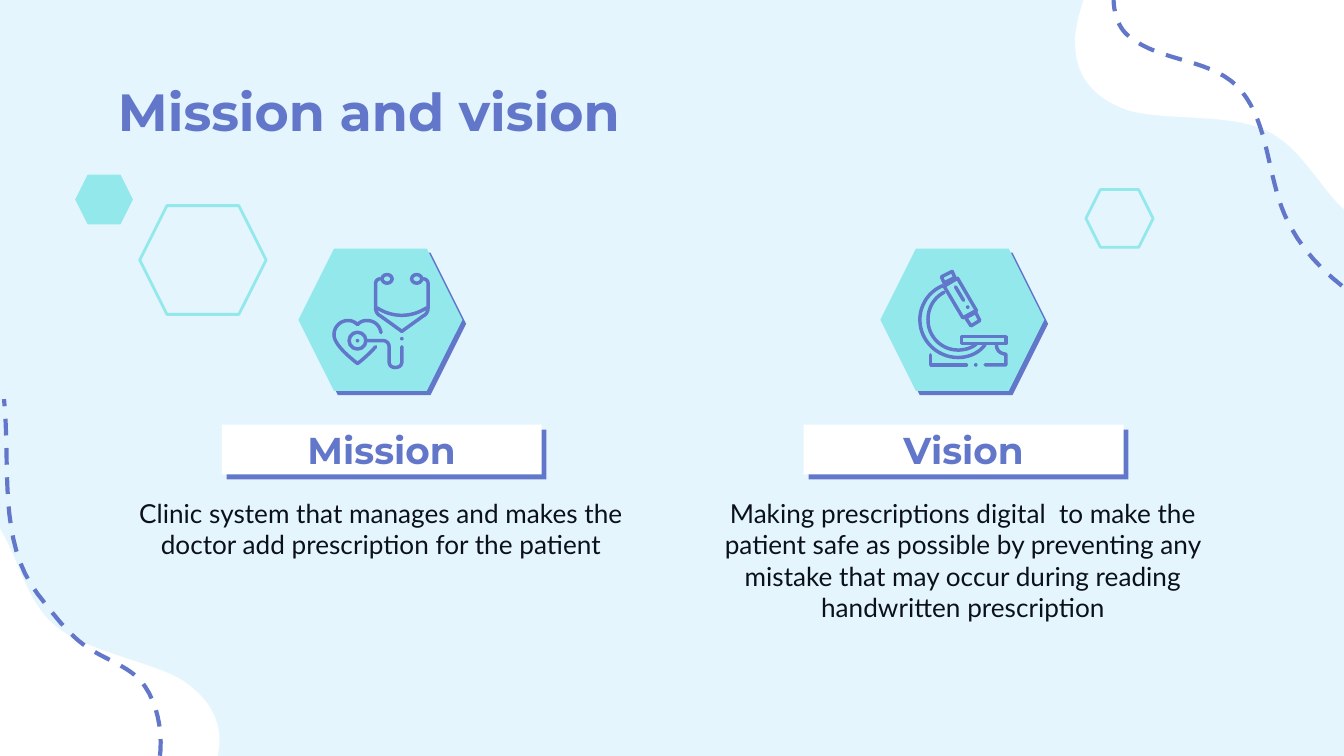
from math import cos, radians, sin
from lxml import etree
from pptx import Presentation
from pptx.dml.color import RGBColor
from pptx.enum.dml import MSO_LINE
from pptx.enum.shapes import MSO_SHAPE
from pptx.enum.text import MSO_ANCHOR, PP_ALIGN
from pptx.oxml.ns import qn
from pptx.util import Pt

HEXAGON, RECTANGLE, OVAL = MSO_SHAPE.HEXAGON, MSO_SHAPE.RECTANGLE, MSO_SHAPE.OVAL
LEFT, CENTER = PP_ALIGN.LEFT, PP_ALIGN.CENTER
TOP, MIDDLE = MSO_ANCHOR.TOP, MSO_ANCHOR.MIDDLE
DASH = MSO_LINE.DASH
SKY, WHITE, INDIGO, AQUA, INK = "E5F5FE", "FFFFFF", "6277CA", "93E8EC", "0B1119"
GRID, CURVE_STEPS = 0.72, 16
COLUMN_STEP, INSET = 311.76, 7.2
DOT_SIZE, STROKE = 2.7, 1.87

TITLE = "Mission and vision"
CARDS = [
    ("Mission", "Clinic system that manages and makes the doctor add prescription for the patient"),
    ("Vision", "Making prescriptions digital  to make the patient safe as possible by preventing "
               "any mistake that may occur during reading handwritten prescription"),
]
TITLE_BOX = (56.16, 35.28, 607.68, 45.36)
BADGE_BOX = (159.84, 133.2, 87.84, 76.32)
PLATE_BOX = (118.8, 227.52, 171.36, 26.64)
LABEL_BOX = (130.32, 227.52, 148.32, 26.64)
BODY_BOX = (56.16, 259.2, 295.92, 71.28)
SOLID_HEXAGON = (40.32, 93.6, 30.96, 26.64)
OUTLINE_HEXAGONS = [((74.88, 110.16, 67.68, 58.32), 0), ((581.76, 101.52, 36, 30.96), 180)]
TITLE_STYLE = {"name": "Montserrat", "size": Pt(28), "bold": True}
LABEL_STYLE = {"name": "Montserrat", "size": Pt(20), "bold": True}
BODY_STYLE = {"name": "Lato", "size": Pt(14), "bold": False}

BLOB = [
    (1005, 160), (983, 143, 970, 110, 942, 97), (913, 83, 857, 91, 834, 80), (810, 70, 800, 53, 800, 32),
    (799, 11, 817, -32, 832, -48), (846, -65, 869, -69, 888, -64), (906, -59, 923, -29, 942, -18),
    (961, -7, 982, -2, 1002, 0), (1023, 2, 1044, -7, 1066, -7), (1088, -7, 1113, -10, 1133, 0),
    (1153, 11, 1182, 28, 1186, 55), (1190, 83, 1178, 141, 1159, 164), (1141, 187, 1101, 194, 1075, 193),
    (1050, 193, 1028, 176, 1005, 160),
]
BLOB_CENTER, CORNER_CENTER, CORNER_TURN = (990.5, 67.5), (-13.5, 481.5), -165
DASHED_PATHS = [
    [(-176, 523), (-149, 509, -111, 500, -85, 515), (-38, 543, -12, 604, 39, 620),
     (59, 627, 83, 615, 100, 602), (124, 583, 125, 536, 108, 511), (99, 497, 81, 492, 67, 483),
     (51, 473, 40, 457, 28, 442), (-2, 403, 8, 346, 3, 297)],
    [(834, -25), (826, -10, 826, 16, 840, 27), (864, 47, 904, 43, 924, 68),
     (944, 93, 943, 130, 956, 160), (977, 208, 1030, 238, 1079, 254)],
]
STETHOSCOPE = {
    "open": [
        [(283, 207.5), (281, 207.5, 279.5, 209, 279.5, 211), (279.5, 229), (279.5, 232, 281, 234, 283, 235),
         (299, 246.5), (315, 235), (317, 234, 318.5, 232, 318.5, 229), (318.5, 211),
         (318.5, 209, 317, 207.5, 315, 207.5)],
        [(280.5, 229), (292, 236.5, 306, 236.5, 317.5, 229)],
        [(283.5, 247.5), (282.5, 242, 278.5, 238.5, 273, 238.5), (270, 238.5, 268, 239.5, 266, 241.5),
         (264, 239.5, 261.5, 238.5, 259, 238.5), (253, 238.5, 248.5, 243.5, 248.5, 249),
         (248.5, 256, 259, 265, 266, 270.5), (270, 267.5, 275, 263, 279.5, 258)],
        [(272.5, 253.5), (285, 253.5), (287.5, 253.5, 289.5, 255.5, 289.5, 258), (289.5, 269),
         (289.5, 272, 291.5, 273.5, 294, 273.5), (297, 273.5, 299, 272, 299, 269), (299, 258)],
    ],
    "closed": [],
    "rings": [(288, 207.5, 7.5, 6.5), (310, 207.5, 7.5, 6.5), (266, 253.5, 12.5, 12.5)],
    "dots": [(266, 253.5), (299, 252)],
}
MICROSCOPE = {
    "open": [
        [(711, 213.5), (717, 223.5)],
        [(701.5, 212.5), (691, 217, 684.5, 227, 684.5, 238), (684.5, 253, 697, 266, 713, 266),
         (721, 266, 728.5, 262.5, 733, 256.5)],
        [(702.5, 217.5), (695, 221.5, 690.5, 229, 690.5, 238), (690.5, 250.5, 700.5, 260.5, 713, 260.5),
         (718, 260.5, 723, 259, 726.5, 256)],
        [(741.5, 257), (741.5, 261, 745, 263.5, 748.5, 263.5), (748.5, 271.5), (733, 271.5)],
        [(692.5, 264), (692.5, 271.5), (719, 271.5)],
    ],
    "closed": [
        [(702.5, 213), (712.5, 207), (726.5, 231), (716.5, 236.5)],
        [(702.5, 210.5), (700.5, 206), (708.5, 202), (710.5, 206.5)],
        [(718.5, 236.5), (722.5, 242.5), (729, 238.5), (726, 232.5)],
        [(715.5, 250.5), (748.5, 250.5), (748.5, 255.5), (715.5, 255.5)],
    ],
    "rings": [],
    "dots": [(720, 228.5), (726, 271.5)],
}

def color(value):
    return RGBColor.from_string(value)

def paint(shape, fill=None, line=None, width=1.5, dash=None):
    shape.shadow.inherit = False
    for part, value in ((shape.fill, fill), (shape.line.fill, line)):
        if value:
            part.solid()
            part.fore_color.rgb = color(value)
        else:
            part.background()
    if line:
        shape.line.width = Pt(width)
        shape.line.dash_style = dash
    return shape

def add_preset(shapes, preset, box, **look):
    return paint(shapes.add_shape(preset, *map(Pt, box)), **look)

def add_hard_shadow(shape, distance, angle):
    effects = shape.element.spPr.find(qn("a:effectLst"))
    shadow = etree.SubElement(effects, qn("a:outerShdw"), blurRad="0", dist=str(Pt(distance)),
                              dir=str(angle * 60000), algn="bl", rotWithShape="0")
    etree.SubElement(shadow, qn("a:srgbClr"), val=INDIGO)

def flatten(segments):
    points = [segments[0]]
    for segment in segments[1:]:
        if len(segment) == 2:
            points.append(segment)
            continue
        controls = [points[-1], segment[:2], segment[2:4], segment[4:]]
        for step in range(1, CURVE_STEPS + 1):
            t = step / CURVE_STEPS
            weights = ((1 - t) ** 3, 3 * t * (1 - t) ** 2, 3 * t * t * (1 - t), t ** 3)
            points.append(tuple(sum(w * c[axis] for w, c in zip(weights, controls)) for axis in (0, 1)))
    return points

def turn(points, center, new_center, degrees):
    c, s = cos(radians(degrees)), sin(radians(degrees))
    offsets = [(x - center[0], y - center[1]) for x, y in points]
    return [(new_center[0] + x * c - y * s, new_center[1] + x * s + y * c) for x, y in offsets]

def add_path(shapes, points, close=False, **look):
    corners = [(Pt(x * GRID), Pt(y * GRID)) for x, y in points]
    builder = shapes.build_freeform(*corners[0])
    builder.add_line_segments(corners[1:], close=close)
    return paint(builder.convert_to_shape(), **look)

def add_oval(shapes, x, y, across, down, **look):
    box = [GRID * value for value in (x - across / 2, y - down / 2, across, down)]
    add_preset(shapes, OVAL, box, **look)

def add_icon(slide, icon):
    shapes = slide.shapes.add_group_shape().shapes
    for kind in ("open", "closed"):
        for segments in icon[kind]:
            shape = add_path(shapes, flatten(segments), kind == "closed", line=INDIGO, width=STROKE)
            shape.element.spPr.find(qn("a:ln")).set("cap", "rnd")
    for ring in icon["rings"]:
        add_oval(shapes, *ring, line=INDIGO, width=STROKE)
    for x, y in icon["dots"]:
        add_oval(shapes, x, y, DOT_SIZE, DOT_SIZE, fill=INDIGO)

def add_text(slide, text, box, style, ink, alignment=CENTER, anchor=TOP):
    frame = slide.shapes.add_textbox(*map(Pt, box)).text_frame
    settings = {f"margin_{side}": Pt(INSET) for side in ("left", "top", "right", "bottom")}
    paragraph = frame.paragraphs[0]
    paragraph.alignment = alignment
    run = paragraph.add_run()
    run.text = text
    run.font.color.rgb = color(ink)
    for target, values in ((frame, {"word_wrap": True, "vertical_anchor": anchor, **settings}), (run.font, style)):
        for name, value in values.items():
            setattr(target, name, value)

def main():
    presentation = Presentation()
    presentation.slide_width, presentation.slide_height = Pt(720), Pt(405)
    slide = presentation.slides.add_slide(presentation.slide_layouts[6])
    slide.background.fill.solid()
    slide.background.fill.fore_color.rgb = color(SKY)
    blob = flatten(BLOB)
    for outline in (blob, turn(blob, BLOB_CENTER, CORNER_CENTER, CORNER_TURN)):
        add_path(slide.shapes, outline, True, fill=WHITE)
    for segments in DASHED_PATHS:
        add_path(slide.shapes, flatten(segments), line=INDIGO, width=2.25, dash=DASH)
    add_text(slide, TITLE, TITLE_BOX, TITLE_STYLE, INDIGO, LEFT)
    for column, (label, body) in enumerate(CARDS):
        badge_box, plate_box, label_box, body_box = [
            (left + column * COLUMN_STEP, *rest) for left, *rest in (BADGE_BOX, PLATE_BOX, LABEL_BOX, BODY_BOX)]
        add_hard_shadow(add_preset(slide.shapes, HEXAGON, badge_box, fill=AQUA), 3, 47)
        add_hard_shadow(add_preset(slide.shapes, RECTANGLE, plate_box, fill=WHITE), 3.8, 46)
        add_text(slide, label, label_box, LABEL_STYLE, INDIGO, anchor=MIDDLE)
        add_text(slide, body, body_box, BODY_STYLE, INK)
    for icon in (STETHOSCOPE, MICROSCOPE):
        add_icon(slide, icon)
    add_preset(slide.shapes, HEXAGON, SOLID_HEXAGON, fill=AQUA)
    for box, rotation in OUTLINE_HEXAGONS:
        add_preset(slide.shapes, HEXAGON, box, line=AQUA).rotation = rotation
    presentation.save("out.pptx")

if __name__ == "__main__":
    main()
